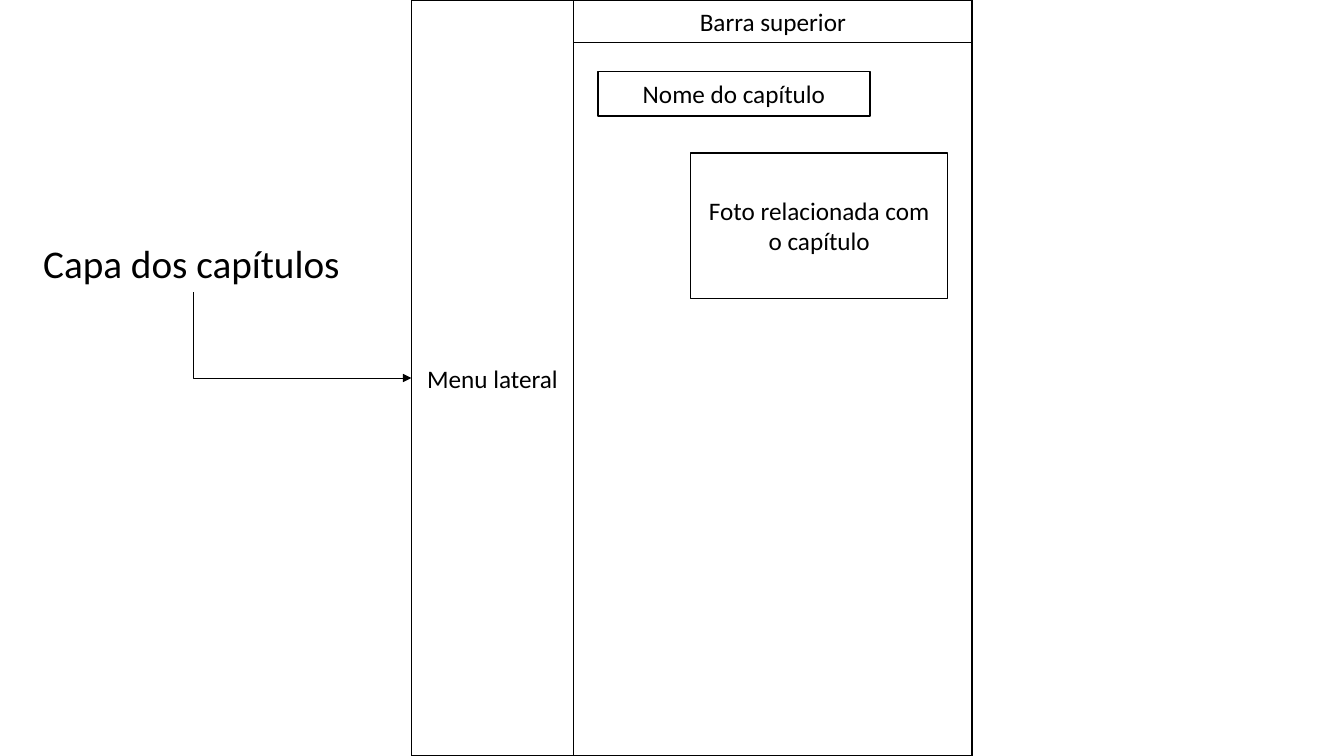
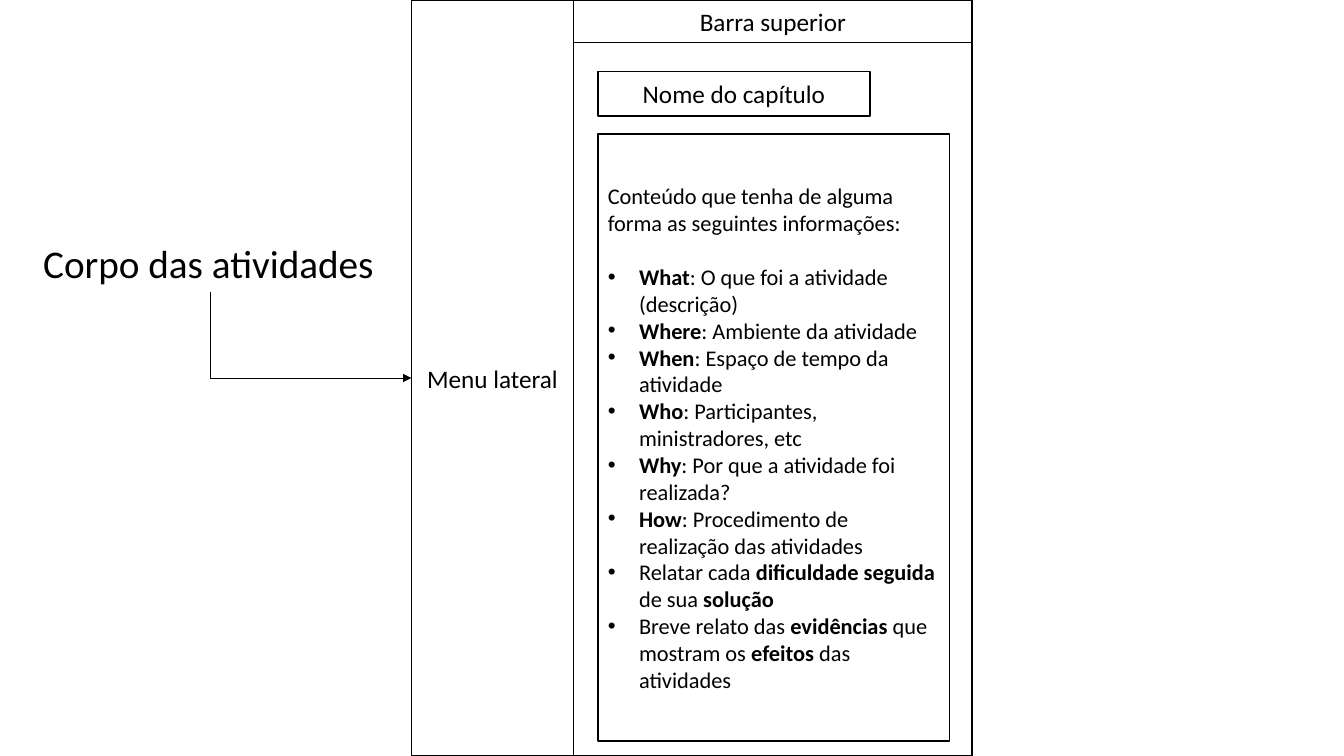
from dataclasses import dataclass

from lxml import etree
from pptx import Presentation
from pptx import util as u
from pptx.dml.color import RGBColor
from pptx.enum import shapes, text
from pptx.oxml import ns


@dataclass(frozen=True)
class Theme:
    ink: RGBColor = RGBColor(0, 0, 0)
    paper: RGBColor = RGBColor(255, 255, 255)
    font: str = "Calibri"
    title: int = 28
    label: int = 18
    body: int = 16
    paragraph_gap: float = 19.5
    outline: float = 1
    arrow: float = 0.5


THEME = Theme()

# Content: ** marks the start and end of bold words
INTRO = "Conteúdo que tenha de alguma forma as seguintes informações:"
TOPICS = [
    "**What**: O que foi a atividade (descrição)",
    "**Where**: Ambiente da atividade",
    "**When**: Espaço de tempo da atividade",
    "**Who**: Participantes, ministradores, etc",
    "**Why**: Por que a atividade foi realizada?",
    "**How**: Procedimento de realização das atividades",
    "Relatar cada **dificuldade seguida **de sua **solução**",
    "Breve relato das **evidências** que mostram os **efeitos** das atividades",
]
PHOTO = "Foto relacionada com o capítulo"

# Layout in inches: left, top, width, height
SLIDE_WIDTH, SLIDE_HEIGHT = 13.33, 7.5
FRAME_LEFT, FRAME_WIDTH, MENU_WIDTH = 4.08, 5.56, 1.61
MENU_RIGHT = FRAME_LEFT + MENU_WIDTH
FRAME = [
    ("", (FRAME_LEFT, 0, FRAME_WIDTH, SLIDE_HEIGHT)),
    ("Menu lateral", (FRAME_LEFT, 0, MENU_WIDTH, SLIDE_HEIGHT)),
    ("Barra superior", (MENU_RIGHT, 0, FRAME_WIDTH - MENU_WIDTH, 0.42)),
    ("Nome do capítulo", (5.93, 0.71, 2.7, 0.44)),
]
PHOTO_AREA = (6.85, 1.52, 2.55, 1.44)
BODY_AREA = (5.93, 1.33, 3.49, 6.02)
TITLE_LEFT, TITLE_TOP, TITLE_HEIGHT = 0.33, 2.33, 0.57
BULLET_INDENT = u.Inches(0.31)


def inches(values):
    return [u.Inches(value) for value in values]


def style_paragraph(para, size):
    for span in para.runs:
        span.font.name = THEME.font
        span.font.size = u.Pt(size)
        span.font.color.rgb = THEME.ink


def add_box(page, area, label=""):
    box = page.shapes.add_shape(shapes.MSO_SHAPE.RECTANGLE, *inches(area))
    box.shadow.inherit = False
    box.fill.solid()
    box.fill.fore_color.rgb = THEME.paper
    box.line.color.rgb = THEME.ink
    box.line.width = u.Pt(THEME.outline)
    frame = box.text_frame
    frame.vertical_anchor = text.MSO_ANCHOR.MIDDLE
    if label:
        frame.text = label
        frame.paragraphs[0].alignment = text.PP_ALIGN.CENTER
        style_paragraph(frame.paragraphs[0], THEME.label)
    return box


def add_topic(frame, topic):
    para = frame.add_paragraph()
    para.alignment = text.PP_ALIGN.LEFT
    for index, part in enumerate(topic.split("**")):
        if part:
            span = para.add_run()
            span.text = part
            span.font.bold = index % 2 == 1
    style_paragraph(para, THEME.body)
    settings = para._p.get_or_add_pPr()
    settings.set("marL", str(BULLET_INDENT))
    settings.set("indent", str(-BULLET_INDENT))
    etree.SubElement(settings, ns.qn("a:buFont"), typeface="Arial")
    etree.SubElement(settings, ns.qn("a:buChar"), char="•")


def add_title(page, title, width):
    area = (TITLE_LEFT, TITLE_TOP, width, TITLE_HEIGHT)
    box = page.shapes.add_textbox(*inches(area))
    frame = box.text_frame
    frame.text = title
    frame.word_wrap = False
    frame.auto_size = text.MSO_AUTO_SIZE.SHAPE_TO_FIT_TEXT
    style_paragraph(frame.paragraphs[0], THEME.title)


def add_arrow(page, start, end):
    """Draw an arrow that goes down, then right."""
    (start_x, start_y), (end_x, end_y) = start, end
    run, drop = end_x - start_x, end_y - start_y
    middle_x, middle_y = (start_x + end_x) / 2, (start_y + end_y) / 2
    # The preset goes right, then down: swap its sides, flip and turn it
    arrow = page.shapes.add_connector(
        shapes.MSO_CONNECTOR.ELBOW,
        *inches((middle_x + drop / 2, middle_y - run / 2,
                 middle_x - drop / 2, middle_y + run / 2)))
    arrow.line.color.rgb = THEME.ink
    arrow.line.width = u.Pt(THEME.arrow)
    properties = arrow._element.spPr
    properties.find(ns.qn("a:xfrm")).set("rot", str(270 * 60000))
    properties.find(ns.qn("a:prstGeom")).set("prst", "bentConnector2")
    line = properties.find(ns.qn("a:ln"))
    etree.SubElement(line, ns.qn("a:tailEnd"), type="triangle")
    etree.SubElement(properties, ns.qn("a:effectLst"))


def add_page(deck, title, title_width):
    page = deck.slides.add_slide(deck.slide_layouts[6])
    for label, area in FRAME:
        add_box(page, area, label)
    add_title(page, title, title_width)
    add_arrow(page,
              (TITLE_LEFT + title_width / 2, TITLE_TOP + TITLE_HEIGHT),
              (FRAME_LEFT, SLIDE_HEIGHT / 2))
    return page


def main():
    deck = Presentation()
    deck.slide_width, deck.slide_height = inches((SLIDE_WIDTH, SLIDE_HEIGHT))

    # Chapter cover
    cover = add_page(deck, "Capa dos capítulos", 3.18)
    add_box(cover, PHOTO_AREA, PHOTO)

    # Activity body
    activities = add_page(deck, "Corpo das atividades", 3.52)
    frame = add_box(activities, BODY_AREA).text_frame
    frame.text = INTRO
    intro = frame.paragraphs[0]
    intro.alignment = text.PP_ALIGN.LEFT
    intro.space_after = u.Pt(THEME.paragraph_gap)
    style_paragraph(intro, THEME.body)
    for topic in TOPICS:
        add_topic(frame, topic)

    deck.save("out.pptx")


if __name__ == "__main__":
    main()
